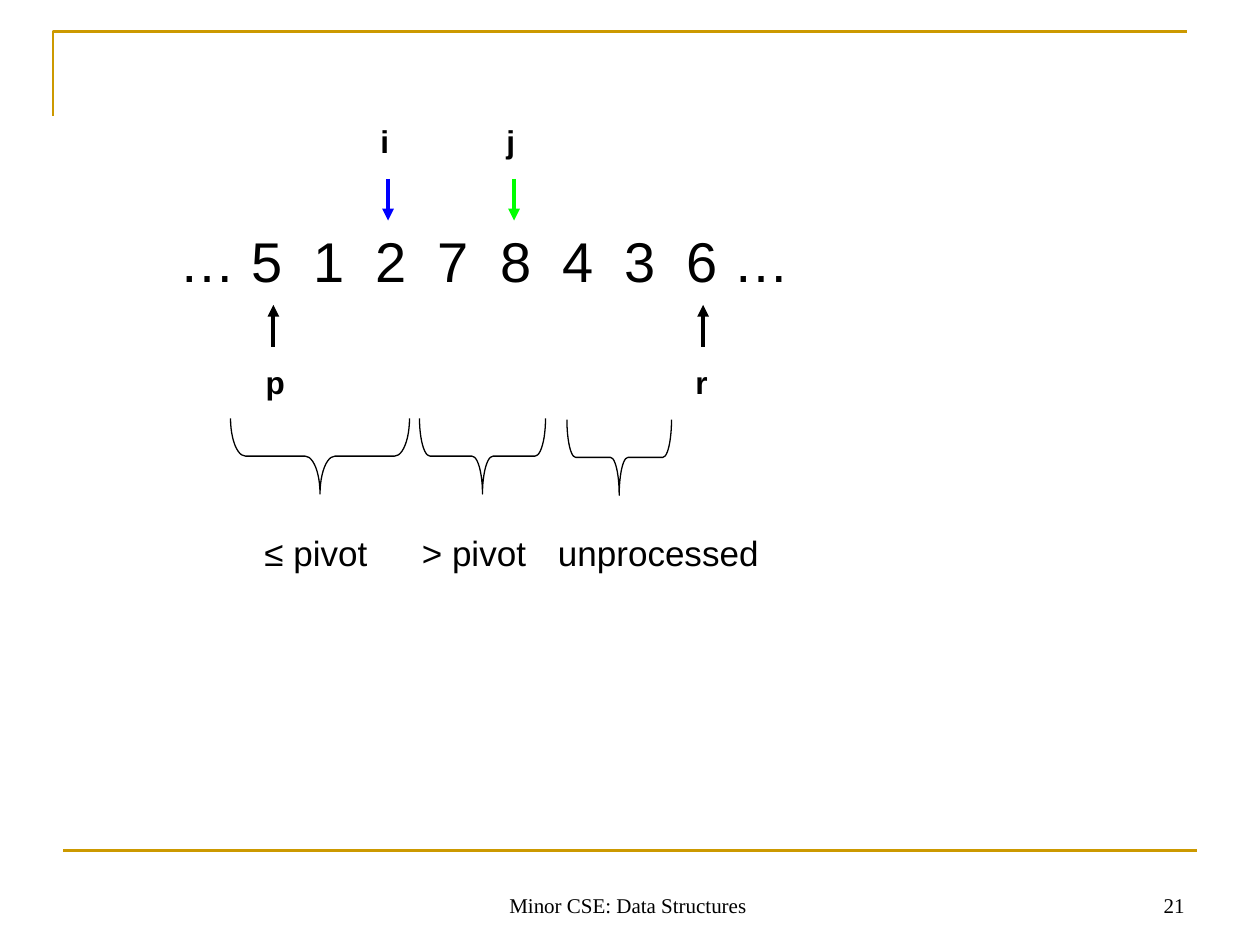
from lxml import etree
from pptx import Presentation
from pptx.dml.color import RGBColor
from pptx.enum import shapes, text
from pptx.oxml import ns
from pptx.util import Inches, Pt

COLORS = {"gold": "CC9900", "blue": "0000FF", "green": "00FF00", "black": "000000"}

presentation = Presentation()
presentation.slide_width, presentation.slide_height = Inches(10), Inches(7.5)
slide = presentation.slides.add_slide(presentation.slide_layouts[6])


def add_line(x1, y1, x2, y2, color, width, arrow=False):
    line = slide.shapes.add_connector(
        shapes.MSO_CONNECTOR.STRAIGHT, Inches(x1), Inches(y1), Inches(x2), Inches(y2))
    line.line.color.rgb = RGBColor.from_string(COLORS[color])
    line.line.width = Pt(width)
    if arrow:
        etree.SubElement(line.line._get_or_add_ln(), ns.qn("a:tailEnd"), type="triangle")
    etree.SubElement(line._element.spPr, ns.qn("a:effectLst"))


def add_text(words, left, top, width, height, size, bold=False, font="Arial",
             align=text.PP_ALIGN.LEFT, anchor=text.MSO_ANCHOR.TOP):
    box = slide.shapes.add_textbox(Inches(left), Inches(top), Inches(width), Inches(height))
    frame = box.text_frame
    frame.word_wrap = True
    frame.vertical_anchor = anchor
    paragraph = frame.paragraphs[0]
    paragraph.alignment = align
    run = paragraph.add_run()
    run.text = words
    run.font.name, run.font.size, run.font.bold = font, Pt(size), bold
    run.font.color.rgb = RGBColor.from_string(COLORS["black"])


# Gold frame: corner at the top, rule at the bottom
builder = slide.shapes.build_freeform(Inches(0.42), Inches(0.92), scale=1.0)
builder.add_line_segments(
    [(Inches(0.42), Inches(0.25)), (Inches(9.42), Inches(0.25))], close=False)
corner = builder.convert_to_shape()
corner.shadow.inherit = False
corner.fill.background()
corner.line.color.rgb = RGBColor.from_string(COLORS["gold"])
corner.line.width = Pt(1.5)
add_line(0.5, 6.75, 9.5, 6.75, "gold", 1.5)

# Array being partitioned
add_text("… 5  1  2  7  8  4  3  6 …", 1.33, 1.75, 5.17, 0.64, 32)

# Index pointers: label, arrow x, arrow start and end, label top, color
pointers = [
    ("i", 3.08, 1.42, 1.75, 0.92, "blue"),
    ("j", 4.08, 1.42, 1.75, 0.92, "green"),
    ("p", 2.17, 2.75, 2.42, 2.83, "black"),
    ("r", 5.58, 2.75, 2.42, 2.83, "black"),
]
for label, x, start, end, label_top, color in pointers:
    add_line(x, start, x, end, color, 2.25, arrow=True)
    add_text(label, x - 0.16, label_top, 0.42, 0.4, 18, bold=True)

# Regions: label, label left and width, brace left, top and span
regions = [
    ("≤ pivot", 2, 1.17, 1.83, 3.32, 1.42),
    ("> pivot", 3.25, 1.17, 3.33, 3.32, 1),
    ("unprocessed", 4.33, 2, 4.5, 3.33, 0.83),
]
depth = 0.6
for label, label_left, label_width, left, top, span in regions:
    # A left brace turned a quarter, so its tip points down
    brace = slide.shapes.add_shape(
        shapes.MSO_SHAPE.LEFT_BRACE, Inches(left + (span - depth) / 2),
        Inches(top + (depth - span) / 2), Inches(depth), Inches(span))
    brace.rotation = 270
    brace.adjustments[0] = span / 12 / depth
    brace.shadow.inherit = False
    brace.fill.background()
    brace.line.color.rgb = RGBColor.from_string(COLORS["black"])
    brace.line.width = Pt(0.75)
    add_text(label, label_left, 4.17, label_width, 0.44, 20)

# Footer and slide number
for words, left, width, align in [
    ("Minor CSE: Data Structures ", 3.42, 3.17, text.PP_ALIGN.CENTER),
    ("21", 7.17, 2.33, text.PP_ALIGN.RIGHT),
]:
    add_text(words, left, 6.83, width, 0.5, 12, font="Times New Roman",
             align=align, anchor=text.MSO_ANCHOR.BOTTOM)

presentation.save("out.pptx")
